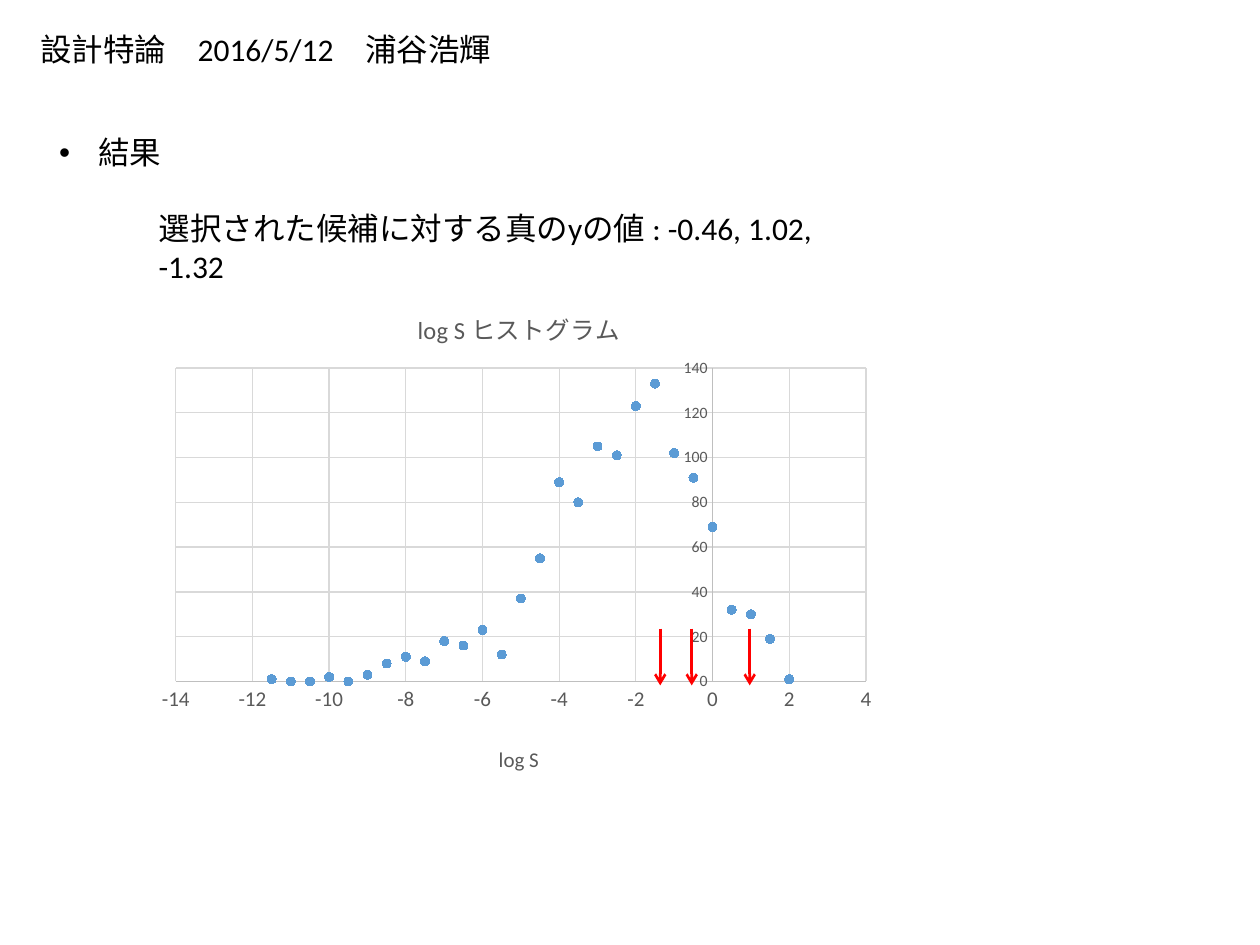
from lxml.etree import SubElement
from pptx import Presentation
from pptx.chart.data import XyChartData
from pptx.dml.color import RGBColor
from pptx.enum.chart import XL_CHART_TYPE, XL_MARKER_STYLE, XL_TICK_MARK
from pptx.enum.shapes import MSO_CONNECTOR
from pptx.oxml import parse_xml
from pptx.oxml.ns import nsdecls, qn
from pptx.util import Inches, Pt

FONT = "Calibri"
COUNTS = [1, 0, 0, 2, 0, 3, 8, 11, 9, 18, 16, 23, 12, 37,
          55, 89, 80, 105, 101, 123, 133, 102, 91, 69, 32, 30, 19, 1]


def rgb(value):
    return RGBColor.from_string(value)


def style_font(font, size, color):
    font.name = FONT
    font.size = Pt(size)
    font.bold = False
    font.color.rgb = rgb(color)


def write(tf, text, size=18, color="000000", spacing=None, bullet=None):
    p = tf.paragraphs[0]
    r = p.add_run()
    r.text = text
    style_font(r.font, size, color)
    if spacing:
        p.line_spacing = spacing
    if bullet:
        pPr = p._p.get_or_add_pPr()
        pPr.set("marL", str(Inches(0.31)))
        pPr.set("indent", str(Inches(-0.31)))
        SubElement(pPr, qn("a:buFont")).set("typeface", "Arial")
        SubElement(pPr, qn("a:buChar")).set("char", bullet)


def place(element, index, **fractions):
    old = element.find(qn("c:layout"))
    if old is not None:
        element.remove(old)
    modes = "".join(f'<c:{k}Mode val="edge"/>' for k in "xy")
    target = '<c:layoutTarget val="inner"/>' if "w" in fractions else ""
    values = "".join(f'<c:{k} val="{v}"/>' for k, v in fractions.items())
    element.insert(index, parse_xml(
        f'<c:layout {nsdecls("c")}><c:manualLayout>{target}{modes}{values}'
        "</c:manualLayout></c:layout>"))


class SlideBuilder:
    gray = "595959"
    axis_color = "BFBFBF"
    grid_color = "D9D9D9"
    marker_color = "5B9BD5"
    arrow_color = "FF0000"

    def __init__(self, s):
        self.s = s

    def text(self, text, x, y, w, h, **fmt):
        tf = self.s.shapes.add_textbox(
            Inches(x), Inches(y), Inches(w), Inches(h)).text_frame
        tf.word_wrap = True
        write(tf, text, **fmt)

    def arrow(self, x, top, bottom):
        line = self.s.shapes.add_connector(
            MSO_CONNECTOR.STRAIGHT, Inches(x), Inches(top), Inches(x), Inches(bottom))
        line.line.color.rgb = rgb(self.arrow_color)
        line.line.width = Pt(1.5)
        SubElement(line.line._get_or_add_ln(), qn("a:tailEnd")).set("type", "arrow")
        SubElement(line._element.spPr, qn("a:effectLst"))

    def axis(self, axis, low, high, step, size):
        axis.minimum_scale, axis.maximum_scale, axis.major_unit = low, high, step
        axis.major_tick_mark = axis.minor_tick_mark = XL_TICK_MARK.NONE
        axis.has_major_gridlines = True
        style_font(axis.tick_labels.font, size, self.gray)
        for fmt, color in ((axis.format, self.axis_color),
                           (axis.major_gridlines.format, self.grid_color)):
            fmt.line.color.rgb = rgb(color)
            fmt.line.width = Pt(0.75)

    def scatter(self, x, y, w, h, title, x_title, counts):
        data = XyChartData()
        series = data.add_series("Series 1")
        for i, count in enumerate(counts):
            series.add_data_point(-11.5 + 0.5 * i, count)
        chart = self.s.shapes.add_chart(
            XL_CHART_TYPE.XY_SCATTER, Inches(x), Inches(y), Inches(w), Inches(h), data).chart
        style_font(chart.font, 10, "000000")
        chart.has_legend = False
        self.axis(chart.category_axis, -14, 4, 2, 12)
        self.axis(chart.value_axis, 0, 140, 20, 9)
        plot = chart.plots[0]
        plot.vary_by_categories = False
        dots = plot.series[0]
        dots.smooth = False
        dots.format.line.fill.background()
        dots.marker.style = XL_MARKER_STYLE.CIRCLE
        dots.marker.size = 5
        dots.marker.format.fill.solid()
        dots.marker.format.fill.fore_color.rgb = rgb(self.marker_color)
        dots.marker.format.line.color.rgb = rgb(self.marker_color)
        for owner, text, size, left, top in (
                (chart.chart_title, title, 14, 0.36, 0.04),
                (chart.category_axis.axis_title, x_title, 12, 0.47, 0.92)):
            write(owner.text_frame, text, size=size, color=self.gray)
            place(owner._element, 1, x=left, y=top)
        place(chart._chartSpace.chart.plotArea, 0, x=0.04, y=0.17, w=0.93, h=0.63)


def main():
    prs = Presentation()
    prs.slide_width, prs.slide_height = Inches(10), Inches(7.5)
    b = SlideBuilder(prs.slides.add_slide(prs.slide_layouts[6]))
    b.text("設計特論\u30002016/5/12\u3000浦谷浩輝".replace("\u3000", "　"), 0.22, 0.19, 4.58, 0.4)
    b.text("結果", 0.37, 0.86, 1.02, 0.5, spacing=1.5, bullet="•")
    b.scatter(1.16, 2.25, 5.89, 3.95, "log S ヒストグラム", "log S", COUNTS)
    b.text("選択された候補に対する真のyの値 : -0.46, 1.02, -1.32", 1.16, 1.61, 5.89, 0.4)
    for x in (5.95, 5.49, 5.24):
        b.arrow(x, 4.99, 5.44)
    prs.save("out.pptx")


if __name__ == "__main__":
    main()
